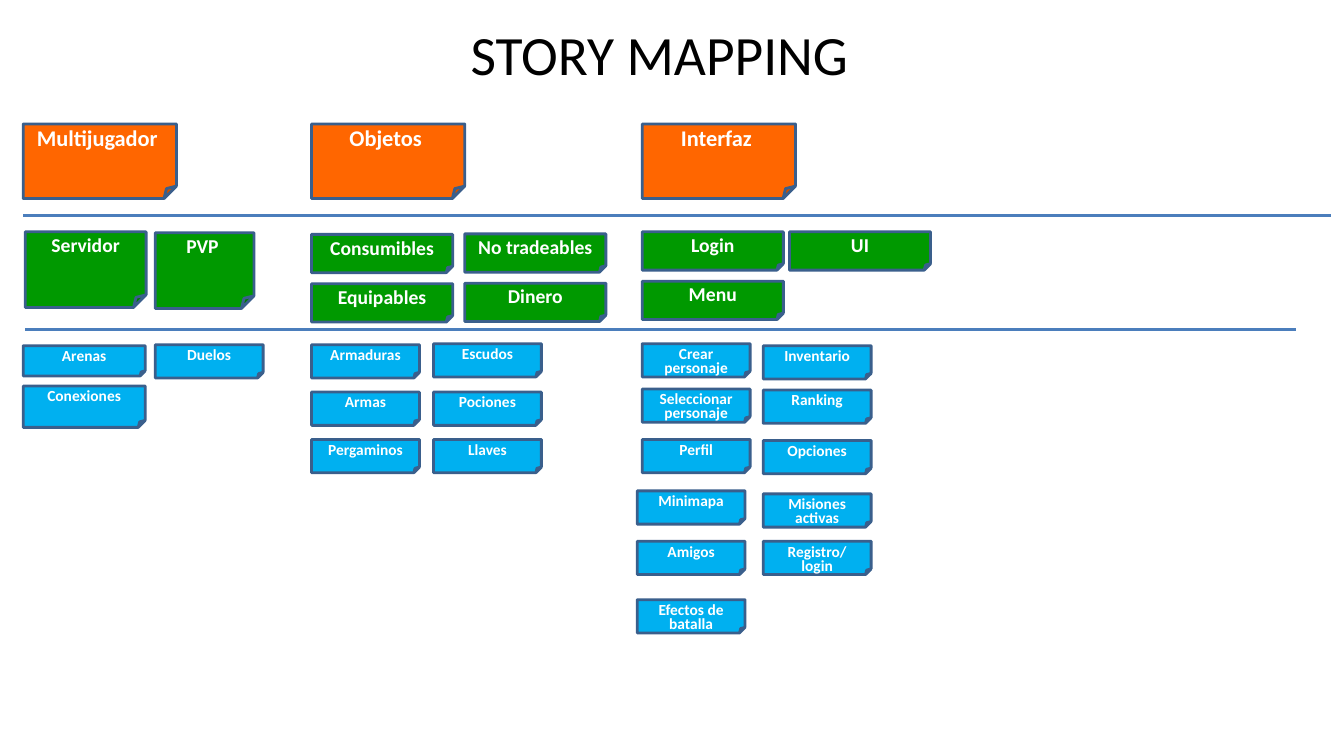
from pptx import Presentation
from pptx.dml.color import RGBColor
from pptx.enum.shapes import MSO_CONNECTOR, MSO_SHAPE
from pptx.enum.text import MSO_ANCHOR, PP_ALIGN
from pptx.oxml.ns import qn
from pptx.util import Inches, Pt
from lxml.etree import SubElement

COLORS = {
    "epic": "FF6600", "feature": "009900", "story": "00B0F0",
    "border": "3A5F8C", "divider": "4B7EBC", "white": "FFFFFF", "black": "000000",
}
TEXT_FORMATS = {
    "epic": {"size": 16, "spacing": 16},
    "feature": {"size": 14, "spacing": 14},
    "story": {"size": 11, "spacing": 10},
}
EPIC_SIZE = (1.52, 0.74)
FEATURE_SIZE = (1.4, 0.38)
STORY_SIZE = (1.07, 0.33)

DIVIDERS = [(0.23, 13.2, 2.14), (0.25, 12.85, 3.27)]
EPICS = [("Multijugador ", 0.23), ("Objetos ", 3.09), ("Interfaz ", 6.37)]
PLAYER_NOTES = [
    ("feature", "Servidor", 0.25, 2.3, 1.2, 0.75),
    ("feature", "PVP ", 1.54, 2.31, 0.98, 0.75),
    ("story", "Arenas", 0.23, 3.43, 1.21, 0.3),
    ("story", "Conexiones", 0.23, 3.83, 1.21, 0.41),
    ("story", "Duelos", 1.54, 3.42, *STORY_SIZE),
]
FEATURE_COLUMNS = [
    (3.09, 2.325, ["Consumibles", "Equipables"]),
    (4.61, 2.32, ["No tradeables", "Dinero"]),
    (6.37, 2.3, ["Login", "Menu"]),
    (7.83, 2.3, ["UI"]),
]
FEATURE_STEP = 0.49
STORY_COLUMNS = [
    (3.09, [("Armaduras", 3.42), ("Armas", 3.89), ("Pergaminos", 4.36)]),
    (4.3, [("Escudos", 3.41), ("Pociones", 3.89), ("Llaves", 4.36)]),
    (6.37, [("Crear personaje", 3.41), ("Seleccionar personaje", 3.86), ("Perfil", 4.36)]),
    (6.32, [("Minimapa", 4.87), ("Amigos", 5.37), ("Efectos de batalla", 5.95)]),
    (7.57, [("Inventario", 3.43), ("Ranking", 3.87), ("Opciones", 4.37),
            ("Misiones activas", 4.9), ("Registro/login", 5.37)]),
]


def write_text(frame, text, size, color="white", bold=True, spacing=None, anchor=MSO_ANCHOR.TOP):
    """Put one centred, formatted paragraph in a text frame."""
    frame.word_wrap = True
    frame.vertical_anchor = anchor
    para = frame.paragraphs[0]
    para.alignment = PP_ALIGN.CENTER
    if spacing:
        para.line_spacing = Pt(spacing)
    span = para.add_run()
    span.text = text
    span.font.name = "Calibri"
    span.font.size = Pt(size)
    span.font.bold = bold
    span.font.color.rgb = RGBColor.from_string(COLORS[color])


class StoryMap:
    """Hold the map's style and its page."""

    def __init__(self, page):
        """Keep the page to draw on."""
        self.page = page

    def title(self, text, left, top, width, height):
        """Place and fill the title placeholder."""
        box = self.page.shapes.title
        box.left, box.top = Inches(left), Inches(top)
        box.width, box.height = Inches(width), Inches(height)
        write_text(box.text_frame, text, 39.6, color="black", bold=False, anchor=MSO_ANCHOR.MIDDLE)

    def divider(self, start, end, top):
        """Draw a horizontal rule between map levels."""
        line = self.page.shapes.add_connector(
            MSO_CONNECTOR.STRAIGHT, Inches(start), Inches(top), Inches(end), Inches(top))
        line.line.color.rgb = RGBColor.from_string(COLORS["divider"])
        line.line.width = Pt(2.25)
        SubElement(line._element.spPr, qn("a:effectLst"))

    def note(self, level, text, left, top, width, height):
        """Draw a folded note in the style of its level."""
        box = self.page.shapes.add_shape(
            MSO_SHAPE.FOLDED_CORNER, Inches(left), Inches(top), Inches(width), Inches(height))
        box.shadow.inherit = False
        box.fill.solid()
        box.fill.fore_color.rgb = RGBColor.from_string(COLORS[level])
        box.line.color.rgb = RGBColor.from_string(COLORS["border"])
        box.line.width = Pt(2)
        write_text(box.text_frame, text, **TEXT_FORMATS[level])


def main():
    """Build and save the story map."""
    deck = Presentation()
    deck.slide_width, deck.slide_height = Inches(13.33), Inches(7.5)
    story_map = StoryMap(deck.slides.add_slide(deck.slide_layouts[5]))
    story_map.title("STORY MAPPING", 1.57, 0.22, 9.94, 0.62)
    for divider in DIVIDERS:
        story_map.divider(*divider)
    for text, left in EPICS:
        story_map.note("epic", text, left, 1.23, *EPIC_SIZE)
    for note in PLAYER_NOTES:
        story_map.note(*note)
    for left, top, names in FEATURE_COLUMNS:
        for row, text in enumerate(names):
            story_map.note("feature", text, left, top + row * FEATURE_STEP, *FEATURE_SIZE)
    for left, stories in STORY_COLUMNS:
        for text, top in stories:
            story_map.note("story", text, left, top, *STORY_SIZE)
    deck.save("out.pptx")


main()
